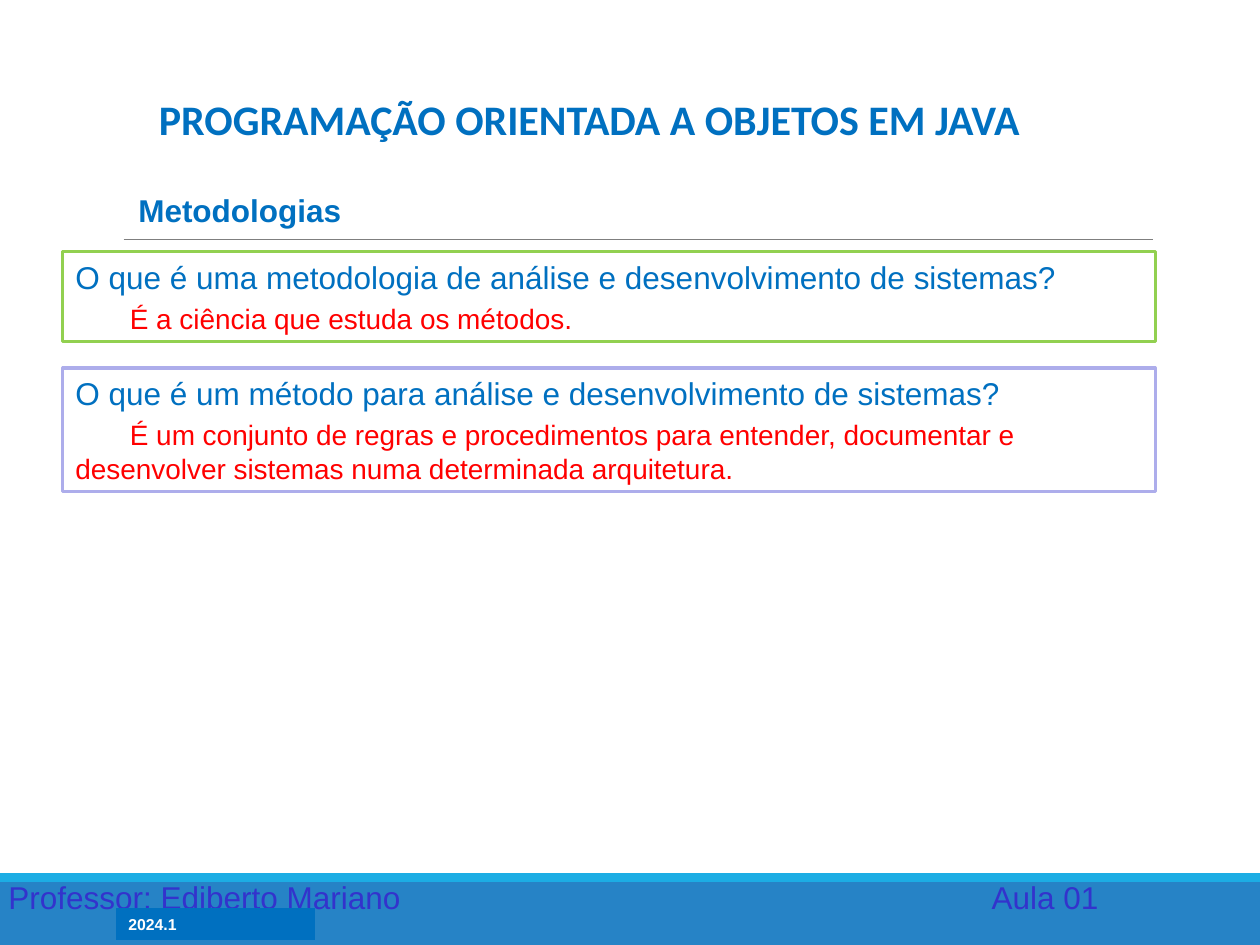
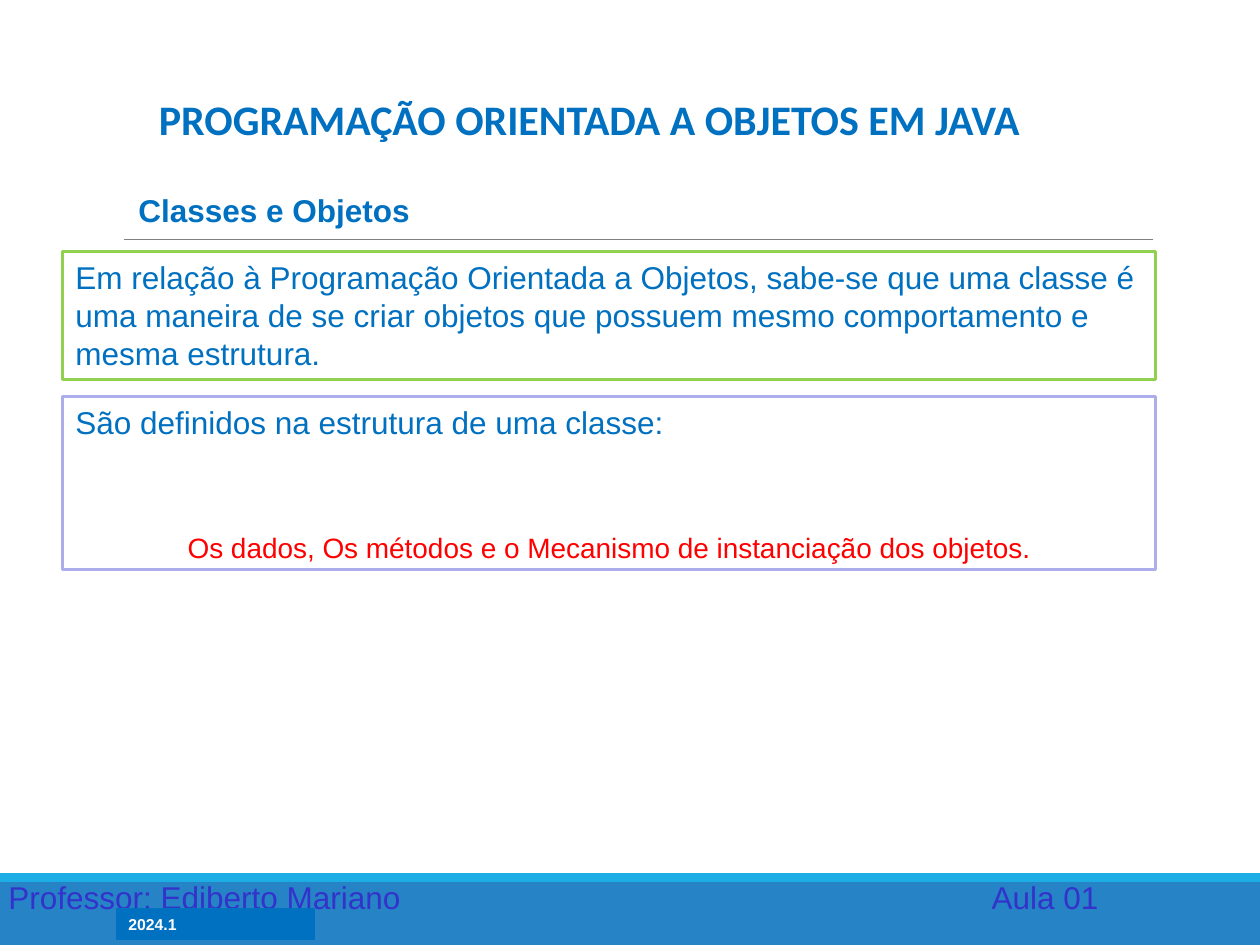
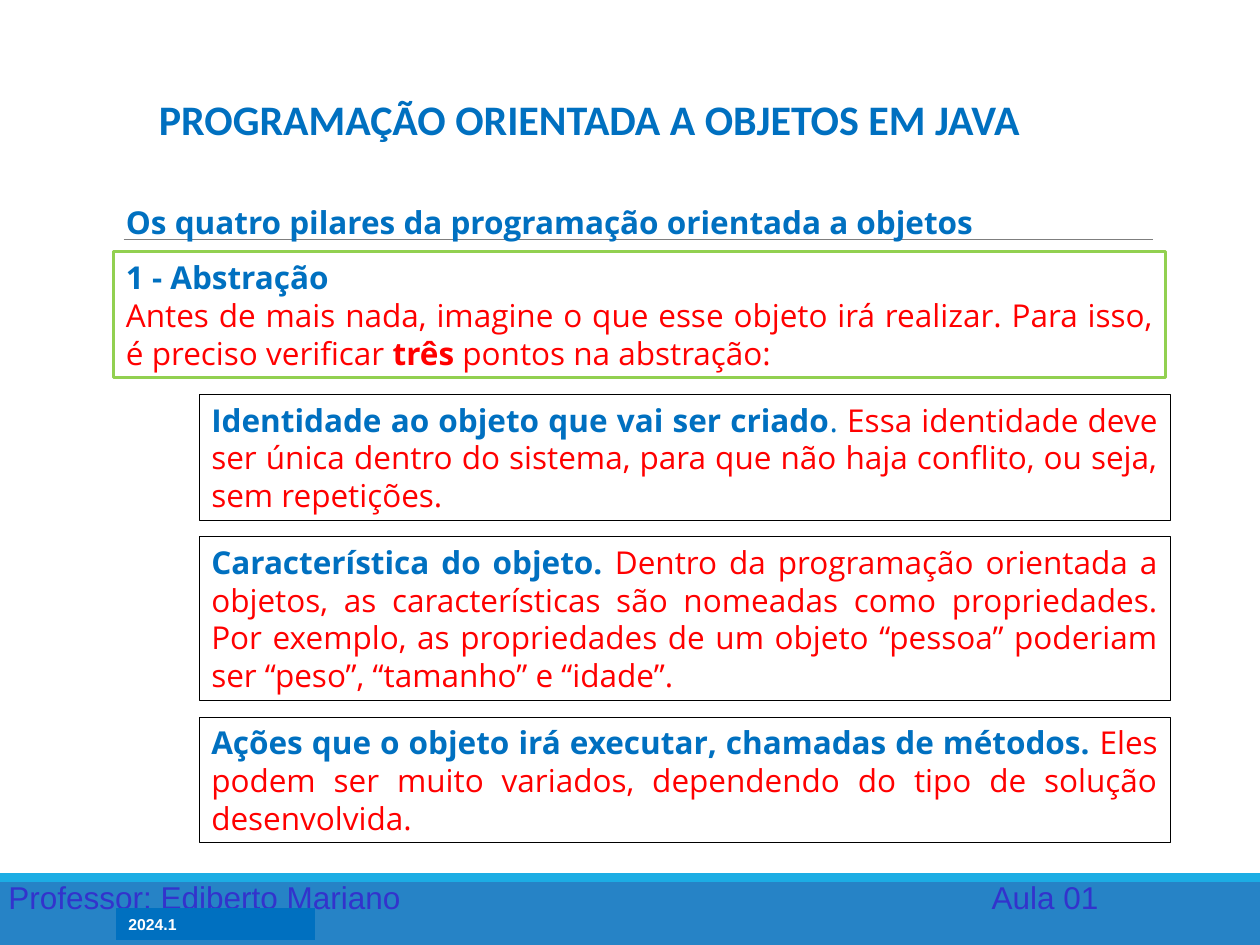
from collections import namedtuple
from dataclasses import dataclass

from lxml import etree
from pptx import Presentation
from pptx.dml.color import RGBColor
from pptx.enum.shapes import MSO_CONNECTOR, MSO_SHAPE
from pptx.enum.text import MSO_ANCHOR, PP_ALIGN
from pptx.oxml.ns import qn
from pptx.util import Cm, Pt

RECT = MSO_SHAPE.RECTANGLE
STRAIGHT = MSO_CONNECTOR.STRAIGHT
TOP, BOTTOM = MSO_ANCHOR.TOP, MSO_ANCHOR.BOTTOM
LEFT, CENTER, JUSTIFY = PP_ALIGN.LEFT, PP_ALIGN.CENTER, PP_ALIGN.JUSTIFY

Box = namedtuple("Box", "x y w h")


@dataclass(frozen=True)
class Theme:
    """Colours, fonts and type sizes of the deck."""
    blue: str = "0070C0"
    red: str = "FF0000"
    green: str = "92D050"
    lilac: str = "ADADEB"
    black: str = "000000"
    white: str = "FFFFFF"
    rule: str = "7F7F7F"
    band: str = "2683C6"
    stripe: str = "1CADE4"
    credit: str = "3333CC"
    sans: str = "Arial"
    title_font: str = "Calibri"
    pillar_font: str = "Open Sans"
    title: int = 24
    body: int = 18
    answer: int = 16
    small: int = 9
    leading: float = 1.2
    frame: float = 1.75
    hairline: float = 0.25


T = Theme()
PAGE = Box(0, 0, 25.4, 19.05)
FOOTER = Box(0, 17.6, 25.4, 1.45)
TITLE = Box(2.62, 1.7, 18.52, 1.32)
COURSE = "PROGRAMAÇÃO ORIENTADA A OBJETOS EM JAVA"


def rgb(value):
    """Turn a hex string into a colour."""
    return RGBColor.from_string(value)


def add_rect(s, box, fill=None, line=None, width=T.frame):
    """Add a flat rectangle with an optional fill and outline."""
    sp = s.shapes.add_shape(RECT, *map(Cm, box))
    sp.shadow.inherit = False
    if fill:
        sp.fill.solid()
        sp.fill.fore_color.rgb = rgb(fill)
    else:
        sp.fill.background()
    if line:
        sp.line.color.rgb = rgb(line)
        sp.line.width = Pt(width)
    else:
        sp.line.fill.background()
    return sp


def add_label(s, box, text, anchor=TOP, **fmt):
    """Add a text box holding one paragraph."""
    sp = s.shapes.add_textbox(*map(Cm, box))
    sp.text_frame.vertical_anchor = anchor
    write(sp, text, **fmt)


def write(sp, text, size=T.body, color=T.blue, font=T.sans, bold=False,
          align=LEFT, before=0, indent=0):
    """Write a paragraph; text is a string or a list of (text, color, bold)."""
    tf = sp.text_frame
    tf.word_wrap = True
    p = tf.paragraphs[0]
    if p.runs:
        p = tf.add_paragraph()
    p.alignment = align
    p.space_before = Pt(before)
    p.line_spacing = Pt(size * T.leading)
    if indent:
        p._p.get_or_add_pPr().set("indent", str(Cm(indent)))
    runs = [(text, color, bold)] if isinstance(text, str) else text
    for words, run_color, run_bold in runs:
        r = p.add_run()
        r.text = words
        r.font.name = font
        r.font.size = Pt(size)
        r.font.bold = run_bold
        r.font.color.rgb = rgb(run_color)


def add_frame(s, box, line, width=T.frame):
    """Add an outlined box whose text starts at the top."""
    sp = add_rect(s, box, line=line, width=width)
    sp.text_frame.vertical_anchor = TOP
    return sp


def add_rule(s, x, y, w):
    """Add the thin line below the subtitle."""
    cn = s.shapes.add_connector(STRAIGHT, Cm(x), Cm(y), Cm(x + w), Cm(y))
    cn.line.color.rgb = rgb(T.rule)
    cn.line.width = Pt(0.5)
    etree.SubElement(cn._element.spPr, qn("a:effectLst"))


def add_footer(s, box):
    """Add the bands, the credit, the lesson and the term."""
    x, y, w, h = box
    add_rect(s, box, fill=T.band)
    add_rect(s, Box(x, y, w, 0.18), fill=T.stripe)
    add_label(s, Box(x - 0.08, y - 0.02, 12, 1.02),
              "Professor: Ediberto Mariano", color=T.credit)
    add_label(s, Box(x + 19.74, y - 0.02, 3.1, 1.02), "Aula 01", color=T.credit)
    term = add_rect(s, Box(x + 2.34, y + 0.71, 4.01, 0.64), fill=T.blue)
    term.text_frame.vertical_anchor = TOP
    write(term, "2024.1", size=T.small, color=T.white, bold=True)


def new_slide(prs, subtitle, box, font=T.sans):
    """Start a slide with the shared title, rule, footer and its subtitle."""
    s = prs.slides.add_slide(prs.slide_layouts[6])
    add_rule(s, 2.49, 4.83, 20.75)
    add_footer(s, FOOTER)
    add_label(s, TITLE, COURSE, anchor=BOTTOM, size=T.title,
              font=T.title_font, bold=True, align=CENTER)
    add_label(s, box, subtitle, font=font, bold=True, align=JUSTIFY)
    return s


def add_question(s, box, line, question, answer=None, **fmt):
    """Add a framed question with its answer in red."""
    sp = add_frame(s, box, line)
    write(sp, question)
    if answer:
        write(sp, answer, size=T.answer, color=T.red, **fmt)


def add_pillar(s, box, heading, intro, points):
    """Add a pillar: a framed introduction and its points stacked below."""
    x, y, w, h = box
    sp = add_frame(s, Box(x, y, w, 2.54), T.green)
    fmt = {"font": T.pillar_font, "align": JUSTIFY}
    write(sp, heading, bold=True, **fmt)
    write(sp, intro, **fmt)
    heights = [height for height, _ in points]
    gap = (h - 2.54 - sum(heights)) / len(points)
    top = y + 2.54 + gap
    for height, runs in points:
        point = Box(x + 1.72, top, 19.58, height)
        write(add_frame(s, point, T.black, T.hairline), runs, **fmt)
        top += height + gap


def main():
    """Build the three slides."""
    prs = Presentation()
    prs.slide_width, prs.slide_height = Cm(PAGE.w), Cm(PAGE.h)
    subtitle = Box(2.54, 3.73, 22.02, 1.02)

    s = new_slide(prs, "Metodologias", subtitle)
    add_question(s, Box(1.27, 5.08, 22.02, 1.8), T.green,
                 "O que é uma metodologia de análise e desenvolvimento de sistemas?",
                 "É a ciência que estuda os métodos.", before=3.2, indent=1.1)
    add_question(s, Box(1.27, 7.42, 22.02, 2.49), T.lilac,
                 "O que é um método para análise e desenvolvimento de sistemas?",
                 "É um conjunto de regras e procedimentos para entender, documentar e "
                 "desenvolver sistemas numa determinada arquitetura.",
                 before=3.2, indent=1.1)

    s = new_slide(prs, "Classes e Objetos", subtitle)
    add_question(s, Box(1.27, 5.08, 22.02, 2.57), T.green,
                 "Em relação à Programação Orientada a Objetos, sabe-se que uma classe é "
                 "uma maneira de se criar objetos que possuem mesmo comportamento e "
                 "mesma estrutura.")
    add_question(s, Box(1.27, 8, 22.02, 3.48), T.lilac,
                 "São definidos na estrutura de uma classe:",
                 "Os dados, Os métodos e o Mecanismo de instanciação dos objetos.",
                 before=51, align=CENTER)

    s = new_slide(prs, "Os quatro pilares da programação orientada a objetos",
                  Box(2.29, 3.96, 19.76, 1.02), font=T.pillar_font)
    add_pillar(
        s, Box(2.29, 5.08, 21.21, 11.91), "1 - Abstração",
        [("Antes de mais nada, imagine o que esse objeto irá realizar. Para isso, "
          "é preciso verificar ", T.red, False),
         ("três", T.red, True),
         (" pontos na abstração:", T.red, False)],
        [(2.54, [("Identidade ao objeto que vai ser criado", T.blue, True),
                 (".", T.blue, False),
                 (" Essa identidade deve ser única dentro do sistema, para que não "
                  "haja conflito, ou seja, sem repetições.", T.red, False)]),
         (3.3, [("Característica do objeto.", T.blue, True),
                (" Dentro da programação orientada a objetos, as características são "
                 "nomeadas como propriedades. Por exemplo, as propriedades de um objeto "
                 "“pessoa” poderiam ser “peso”, “tamanho” e “idade”.", T.red, False)]),
         (2.54, [("Ações que o objeto irá executar, chamadas de métodos.", T.blue, True),
                 (" Eles podem ser muito variados, dependendo do tipo de solução "
                  "desenvolvida.", T.red, False)])])
    prs.save("out.pptx")


if __name__ == "__main__":
    main()
